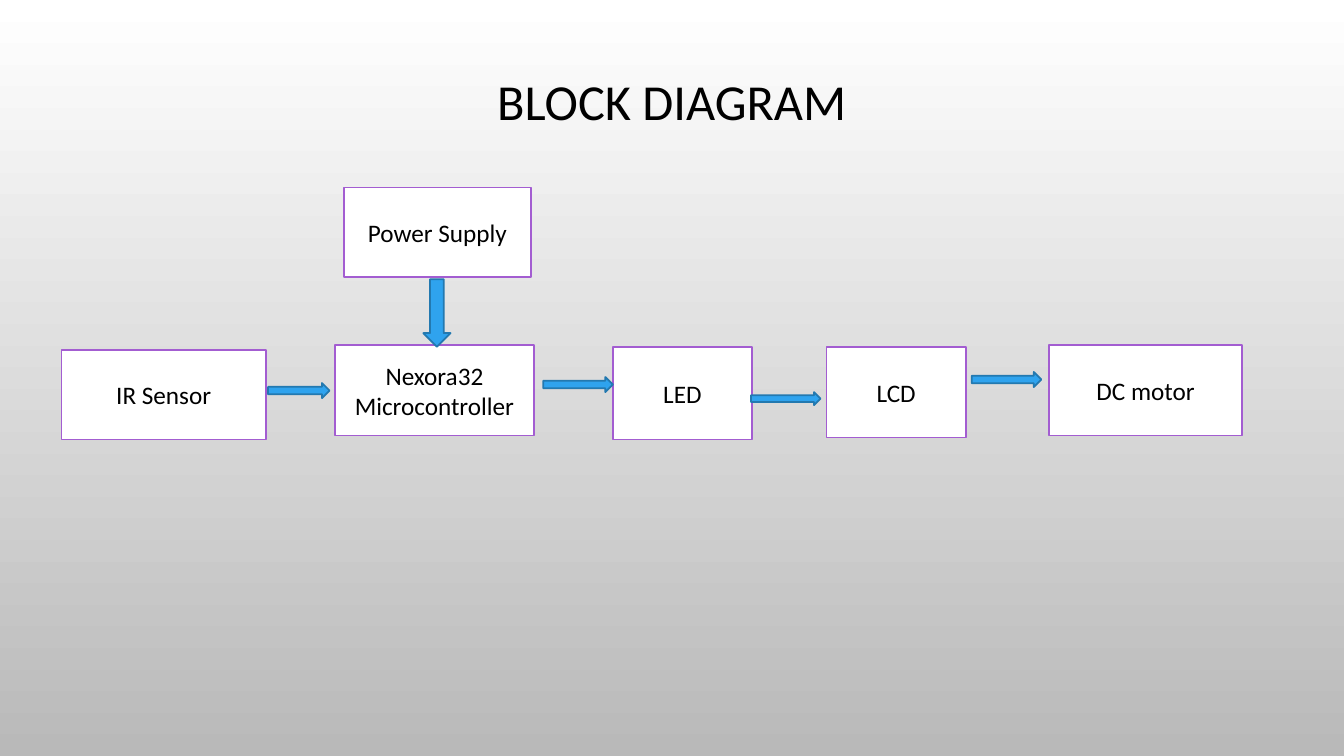
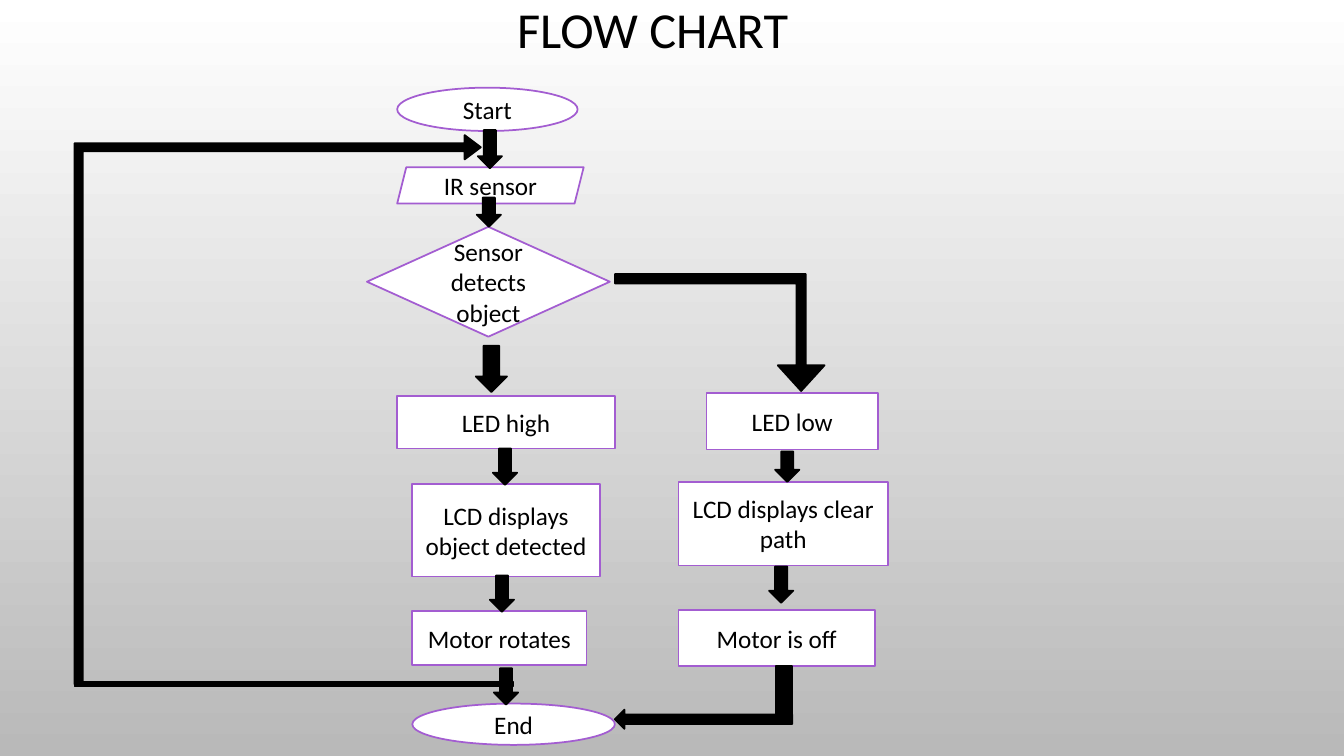
from pptx import Presentation
from pptx.dml.color import RGBColor
from pptx.enum.shapes import MSO_SHAPE as SHP
from pptx.enum.text import MSO_ANCHOR as ANCHOR, PP_ALIGN as ALIGN
from pptx.util import Inches, Pt

BLACK = RGBColor(0x00, 0x00, 0x00)
WHITE = RGBColor(0xFF, 0xFF, 0xFF)
GREY = RGBColor(0xB9, 0xB9, 0xB9)
PURPLE = RGBColor(0xA3, 0x5D, 0xD1)
BLUE = RGBColor(0x2F, 0xA3, 0xEE)
DARK_BLUE = RGBColor(0x23, 0x79, 0xB0)

# The grid: square cells, ten to the inch
CELL = 0.1
COLS, ROWS = 133.33, 75


def grid(*cells):
    return [Inches(n * CELL) for n in cells]


class Deck:
    """Holds the shared style and the current slide."""

    BODY = {"name": "Calibri", "size": Pt(18)}
    HEAD = {"name": "Calibri", "size": Pt(36)}
    LINE = Pt(1.25)

    def __init__(self):
        self.prs = Presentation()
        self.prs.slide_width, self.prs.slide_height = grid(COLS, ROWS)
        self.slide = None
        self.backdrop()

    def backdrop(self):
        fill = self.prs.slide_master.background.fill
        fill.gradient()
        fill.gradient_angle = 270
        for stop, pos, color in zip(fill.gradient_stops, (0, 1), (WHITE, GREY)):
            stop.position = pos
            stop.color.rgb = color

    def set_text(self, sp, text, style):
        tf = sp.text_frame
        tf.text = text
        tf.word_wrap = True
        tf.vertical_anchor = ANCHOR.MIDDLE
        for p in tf.paragraphs:
            p.alignment = ALIGN.CENTER
            for key, value in style.items():
                setattr(p.font, key, value)
            p.font.color.rgb = BLACK

    def new_slide(self, title, at):
        self.slide = self.prs.slides.add_slide(self.prs.slide_layouts[5])
        sp = self.slide.shapes.title
        sp.left, sp.top, sp.width, sp.height = grid(*at)
        self.set_text(sp, title, self.HEAD)
        sp.text_frame.paragraphs[0].line_spacing = 0.9

    def shape(self, kind, at, fill, line):
        sp = self.slide.shapes.add_shape(kind, *grid(*at))
        sp.shadow.inherit = False
        sp.fill.solid()
        sp.fill.fore_color.rgb = fill
        sp.line.color.rgb = line
        sp.line.width = self.LINE
        return sp

    def box(self, text, at, kind=SHP.RECTANGLE):
        self.set_text(self.shape(kind, at, WHITE, PURPLE), text, self.BODY)

    def blue_arrow(self, at, kind=SHP.RIGHT_ARROW):
        self.shape(kind, at, BLUE, DARK_BLUE)

    def black(self, kind, at):
        return self.shape(kind, at, BLACK, BLACK)

    def bent_arrow(self, at, adjust, rotation=0):
        sp = self.black(SHP.BENT_UP_ARROW, at)
        for i, value in enumerate(adjust):
            sp.adjustments[i] = value
        sp.rotation = rotation
        sp.element.spPr.get_or_add_xfrm().set("flipV", "1")


def block_diagram(deck):
    deck.new_slide("BLOCK DIAGRAM", (10, 1.6, 113.3, 17.5))

    # Blocks
    for text, at in (
        ("Power Supply", (34.1, 18.6, 18.6, 8.9)),
        ("IR Sensor", (6.1, 34.7, 20.3, 8.9)),
        ("Nexora32\nMicrocontroller", (33.2, 34.2, 19.8, 9)),
        ("LED", (60.8, 34.4, 13.8, 9.2)),
        ("LCD", (82, 34.4, 13.8, 9)),
        ("DC motor", (104.1, 34.2, 19.1, 9)),
    ):
        deck.box(text, at)

    # Arrows between blocks
    deck.blue_arrow((42, 27.7, 2.7, 6.7), SHP.DOWN_ARROW)
    for at in (
        (26.6, 38, 6.1, 1.5),
        (53.9, 37.4, 6.9, 1.5),
        (74.5, 38.9, 6.9, 1.3),
        (96.4, 36.9, 6.9, 1.5),
    ):
        deck.blue_arrow(at)


def flow_chart(deck):
    deck.new_slide("FLOW CHART", (36.4, 0, 56.7, 6.4))

    # Start, input, decision and end
    for text, at, kind in (
        ("Start", (39.4, 8.7, 17.9, 4.3), SHP.OVAL),
        ("IR sensor", (39.4, 16.6, 18.5, 3.6), SHP.PARALLELOGRAM),
        ("Sensor detects object", (36.4, 22.5, 24.1, 10.9), SHP.DIAMOND),
        ("End", (40.9, 69.8, 20.1, 4.1), SHP.OVAL),
    ):
        deck.box(text, at, kind)

    # Steps of the two branches
    for text, at in (
        ("LED high", (39.4, 39.3, 21.6, 5.2)),
        ("LCD displays object detected", (40.9, 48, 18.6, 9.2)),
        ("Motor rotates", (40.9, 60.6, 17.3, 5.4)),
        ("LED low", (70.1, 39, 17, 5.6)),
        ("LCD displays clear path", (67.3, 47.8, 20.8, 8.3)),
        ("Motor is off", (67.3, 60.5, 19.5, 5.6)),
    ):
        deck.box(text, at)

    # Down arrows: left, top, height and width
    narrow, wide = 2.4, 3.1
    for left, top, height, width in (
        (47.4, 12.9, 3.8, narrow),
        (47.3, 19.6, 2.9, narrow),
        (47.2, 34.3, 4.6, wide),
        (48.9, 44.5, 3.6, narrow),
        (48.6, 57.1, 3.6, narrow),
        (49, 66.3, 3.6, narrow),
        (76.9, 44.8, 3, narrow),
        (76.3, 56.2, 3.6, narrow),
    ):
        deck.black(SHP.DOWN_ARROW, (left, top, width, height))

    # Branch to the right, and its way to the end
    deck.bent_arrow((61, 27.2, 20.8, 11.6), (0.08, 0.2, 0.22))
    deck.black(SHP.RECTANGLE, (77, 66.1, 1.6, 5.2))
    deck.black(SHP.LEFT_ARROW, (61, 70.4, 17.6, 1.9))

    # Loop back to the start
    deck.bent_arrow((0.3, 20.5, 54.5, 40.3), (0.02, 0.03, 0.04), 270)
    deck.black(SHP.RECTANGLE, (7.4, 67.6, 43.5, 0.5))


def main():
    deck = Deck()
    block_diagram(deck)
    flow_chart(deck)
    deck.prs.save("out.pptx")


if __name__ == "__main__":
    main()
